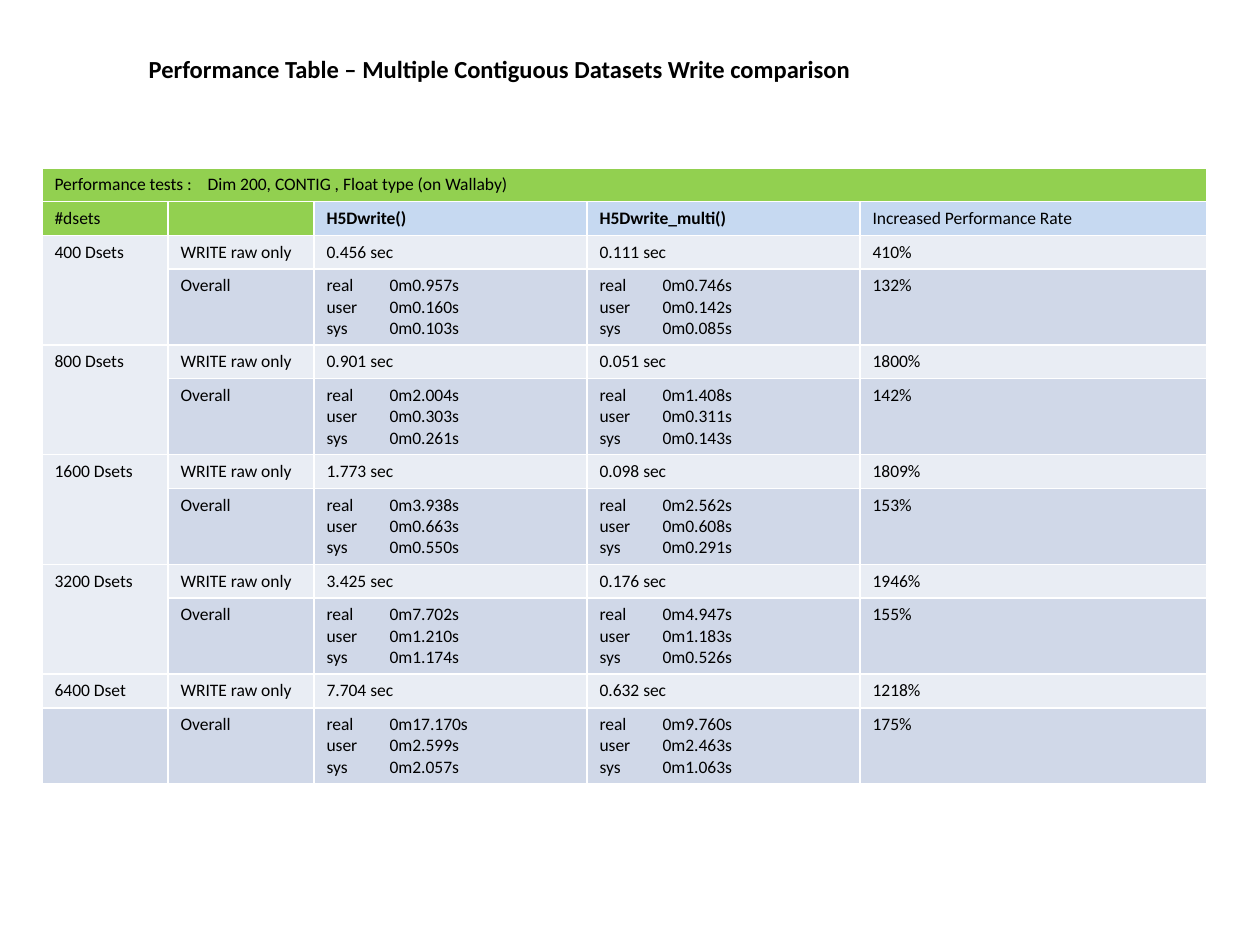
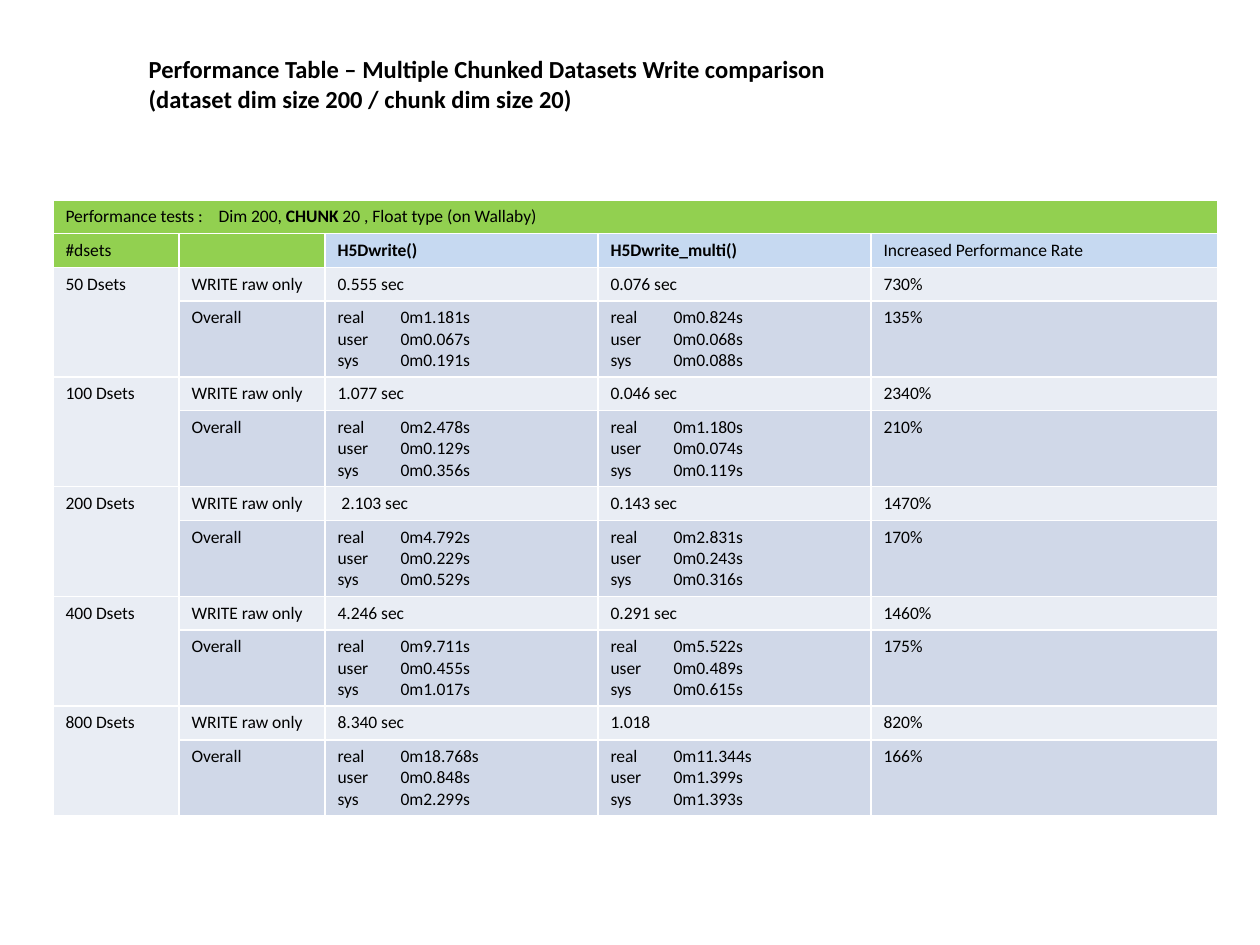
from dataclasses import dataclass
from typing import NamedTuple

from lxml.etree import SubElement
from pptx import Presentation
from pptx.dml.color import RGBColor
from pptx.enum.text import MSO_ANCHOR, MSO_AUTO_SIZE as AutoSize, PP_ALIGN
from pptx.oxml.ns import qn
from pptx.util import Emu, Pt

EMU_PER_PX = 914400 / 126
FONT = "Calibri"
COLORS = {
    "text": "000000",
    "border": "FFFFFF",
    "heading": "92D050",
    "column": "C6D9F1",
    "raw": "E9EDF4",
    "overall": "D0D8E8",
}
COLUMN_WIDTHS = [126, 146, 273, 273, 347]
LINE_ROW, CLOCK_ROW = 33, 76
CAPTION_TAB = 153
CLOCKS = ("real", "user", "sys")


class TextRun(NamedTuple):
    text: str
    bold: bool = False


class Measurement(NamedTuple):
    datasets: str
    raw_write: str
    raw_multi: str
    raw_rate: str
    clocks_write: str
    clocks_multi: str
    overall_rate: str
    merged: bool = True


@dataclass
class Comparison:
    title: list[str]
    title_height: int
    left: int
    top: int
    caption: list[TextRun]
    measurements: list[Measurement]


COMPARISONS = [
    Comparison(
        ["Performance Table – Multiple Contiguous Datasets Write comparison"], 43, 42, 168,
        [TextRun("Performance tests :\tDim 200, CONTIG , Float type (on Wallaby)")],
        [
            Measurement("400 Dsets", "0.456 sec", "0.111 sec", "410%",
                        "0m0.957s 0m0.160s 0m0.103s", "0m0.746s 0m0.142s 0m0.085s", "132%"),
            Measurement("800 Dsets", "0.901 sec", "0.051 sec", "1800%",
                        "0m2.004s 0m0.303s 0m0.261s", "0m1.408s 0m0.311s 0m0.143s", "142%"),
            Measurement("1600 Dsets", "1.773 sec", "0.098 sec", "1809%",
                        "0m3.938s 0m0.663s 0m0.550s", "0m2.562s 0m0.608s 0m0.291s", "153%"),
            Measurement("3200 Dsets", "3.425 sec", "0.176 sec", "1946%",
                        "0m7.702s 0m1.210s 0m1.174s", "0m4.947s 0m1.183s 0m0.526s", "155%"),
            Measurement("6400 Dset", "7.704 sec", "0.632 sec", "1218%",
                        "0m17.170s 0m2.599s 0m2.057s", "0m9.760s 0m2.463s 0m1.063s", "175%",
                        merged=False),
        ],
    ),
    Comparison(
        ["Performance Table – Multiple Chunked Datasets Write comparison",
         "(dataset dim size 200 / chunk dim size 20)"], 72, 53, 200,
        [TextRun("Performance tests :\tDim 200, "), TextRun("CHUNK", True),
         TextRun(" 20 , Float type (on Wallaby)")],
        [
            Measurement("50 Dsets", "0.555 sec", "0.076 sec", "730%",
                        "0m1.181s 0m0.067s 0m0.191s", "0m0.824s 0m0.068s 0m0.088s", "135%"),
            Measurement("100 Dsets", "1.077 sec", "0.046 sec", "2340%",
                        "0m2.478s 0m0.129s 0m0.356s", "0m1.180s 0m0.074s 0m0.119s", "210%"),
            Measurement("200 Dsets", " 2.103 sec", "0.143 sec", "1470%",
                        "0m4.792s 0m0.229s 0m0.529s", "0m2.831s 0m0.243s 0m0.316s", "170%"),
            Measurement("400 Dsets", "4.246 sec", "0.291 sec", "1460%",
                        "0m9.711s 0m0.455s 0m1.017s", "0m5.522s 0m0.489s 0m0.615s", "175%"),
            Measurement("800 Dsets", "8.340 sec", "1.018", "820%",
                        "0m18.768s 0m0.848s 0m2.299s", "0m11.344s 0m1.399s 0m1.393s", "166%"),
        ],
    ),
]


def px(length: int) -> Emu:
    return Emu(round(length * EMU_PER_PX))


def add_run(paragraph, text_run: TextRun, size: int) -> None:
    run = paragraph.add_run()
    run.text = text_run.text
    run.font.name = FONT
    run.font.size = Pt(size)
    run.font.bold = text_run.bold
    run.font.color.rgb = RGBColor.from_string(COLORS["text"])


def write_lines(text_frame, lines: list[list[TextRun]], size: int) -> None:
    for index, line in enumerate(lines):
        paragraph = text_frame.add_paragraph() if index else text_frame.paragraphs[0]
        paragraph.alignment = PP_ALIGN.LEFT
        for text_run in line:
            add_run(paragraph, text_run, size)


def clock_lines(times: str) -> list[list[TextRun]]:
    return [[TextRun(f"{clock}\t{time}")] for clock, time in zip(CLOCKS, times.split())]


def set_borders(cell) -> None:
    properties = cell._tc.get_or_add_tcPr()
    for side in ("lnL", "lnR", "lnT", "lnB"):
        line = SubElement(properties, qn(f"a:{side}"), w=str(Pt(1)))
        fill = SubElement(line, qn("a:solidFill"))
        SubElement(fill, qn("a:srgbClr"), val=COLORS["border"])


def fill_cell(cell, color: str, lines: list[list[TextRun]]) -> None:
    set_borders(cell)
    cell.fill.solid()
    cell.fill.fore_color.rgb = RGBColor.from_string(COLORS[color])
    if lines:
        write_lines(cell.text_frame, lines, 10)
    else:
        # Keeps an empty cell from stretching its row
        SubElement(cell.text_frame.paragraphs[0]._p, qn("a:endParaRPr"), sz="1000")


def fill_row(table, row: int, colors: list[str], texts: list[list[list[TextRun]]]) -> None:
    for column, (color, lines) in enumerate(zip(colors, texts)):
        fill_cell(table.cell(row, column), color, lines)


def plain(*texts: str, bold: bool = False) -> list[list[list[TextRun]]]:
    return [[[TextRun(text, bold)]] if text else [] for text in texts]


def add_title(slide, comparison: Comparison) -> None:
    title = slide.shapes.title
    title.left, title.top = px(136), px(48)
    title.width, title.height = px(756), px(comparison.title_height)
    text_frame = title.text_frame
    text_frame.word_wrap = True
    text_frame.auto_size = AutoSize.SHAPE_TO_FIT_TEXT
    text_frame.vertical_anchor = MSO_ANCHOR.TOP
    write_lines(text_frame, [[TextRun(line, True)] for line in comparison.title], 14)


def add_performance_table(slide, comparison: Comparison) -> None:
    heights = [LINE_ROW] * 2 + [LINE_ROW, CLOCK_ROW] * len(comparison.measurements)
    table = slide.shapes.add_table(
        len(heights), len(COLUMN_WIDTHS), px(comparison.left), px(comparison.top),
        px(sum(COLUMN_WIDTHS)), px(sum(heights))).table
    table.first_row = table.horz_banding = False
    for column, width in zip(table.columns, COLUMN_WIDTHS):
        column.width = px(width)
    for row, height in zip(table.rows, heights):
        row.height = px(height)

    # Caption across the table, with a tab stop after its label
    fill_row(table, 0, ["heading"] * 5, [[comparison.caption], [], [], [], []])
    caption = table.cell(0, 0)
    caption.merge(table.cell(0, 4))
    tabs = SubElement(caption.text_frame.paragraphs[0]._p.get_or_add_pPr(), qn("a:tabLst"))
    SubElement(tabs, qn("a:tab"), pos=str(px(CAPTION_TAB)), algn="l")

    # Column headings
    fill_row(table, 1, ["heading"] * 2 + ["column"] * 3,
             plain("#dsets", "") + plain("H5Dwrite()", "H5Dwrite_multi()", bold=True)
             + plain("Increased Performance Rate"))

    # Two rows for each number of datasets
    for index, entry in enumerate(comparison.measurements):
        row = 2 + 2 * index
        fill_row(table, row, ["raw"] * 5,
                 plain(entry.datasets, "WRITE raw only", entry.raw_write,
                       entry.raw_multi, entry.raw_rate))
        fill_row(table, row + 1, ["overall"] * 5,
                 plain("", "Overall")
                 + [clock_lines(entry.clocks_write), clock_lines(entry.clocks_multi)]
                 + plain(entry.overall_rate))
        if entry.merged:
            table.cell(row, 0).merge(table.cell(row + 1, 0))


def main() -> None:
    presentation = Presentation()
    presentation.slide_width, presentation.slide_height = px(1260), px(945)
    title_only = presentation.slide_layouts[5]
    for comparison in COMPARISONS:
        slide = presentation.slides.add_slide(title_only)
        add_performance_table(slide, comparison)
        add_title(slide, comparison)
    presentation.save("out.pptx")


if __name__ == "__main__":
    main()
